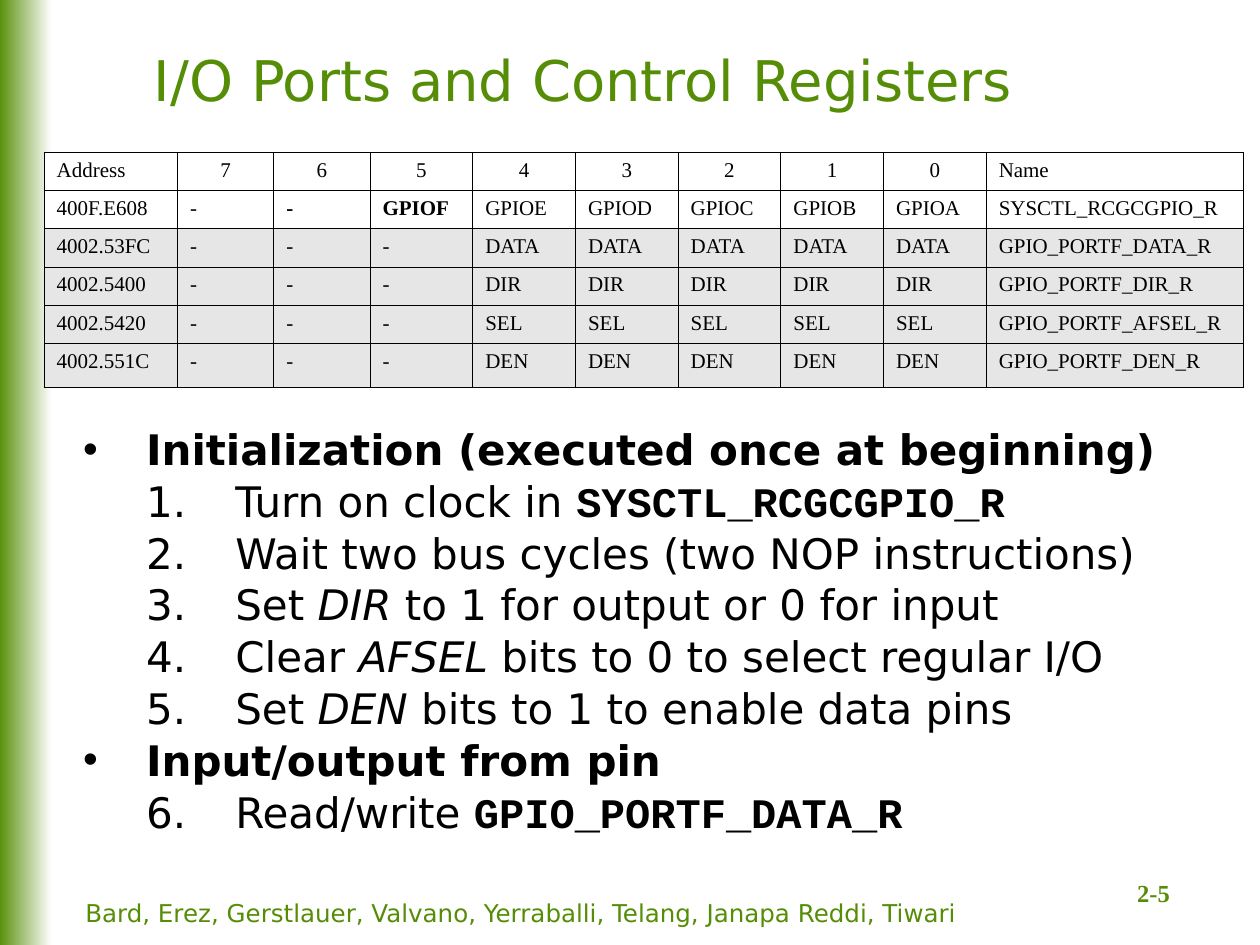
from pptx import Presentation
from pptx.dml.color import RGBColor
from pptx.enum.shapes import MSO_SHAPE
from pptx.enum.text import MSO_ANCHOR, MSO_AUTO_SIZE, PP_ALIGN
from pptx.oxml import parse_xml
from pptx.oxml.ns import nsdecls
from pptx.util import Cm, Pt

GREEN = RGBColor(0x55, 0x8D, 0x06)
BLACK = RGBColor(0x00, 0x00, 0x00)
WHITE = RGBColor(0xFF, 0xFF, 0xFF)
GRAY = RGBColor(0xE6, 0xE6, 0xE6)
SANS, SERIF, MONO = "DejaVu Sans", "Times New Roman", "Courier New"


def style(font, name, size, color, bold=False):
    font.name, font.size, font.bold = name, Pt(size), bold
    font.color.rgb = color


def add_label(text, left, top, width, height):
    frame = slide.shapes.add_textbox(Cm(left), Cm(top), Cm(width), Cm(height)).text_frame
    frame.word_wrap = True
    frame.text = text
    return frame


presentation = Presentation()
presentation.slide_width, presentation.slide_height = Cm(25.4), Cm(19.05)
slide = presentation.slides.add_slide(presentation.slide_layouts[1])

# Gradient band on the left edge
band = slide.shapes.add_shape(MSO_SHAPE.RECTANGLE, Cm(-0.03), Cm(-0.03), Cm(1.07), Cm(19.08))
band.shadow.inherit = False
band.line.fill.background()
band.fill.gradient()
band.fill.gradient_angle = 0
for stop, color in zip(band.fill.gradient_stops, (GREEN, WHITE)):
    stop.color.rgb = color

# Title
title = slide.shapes.title
title.left, title.top, title.width, title.height = Cm(1.07), Cm(0.64), Cm(21.39), Cm(1.9)
title.text_frame.text = "I/O Ports and Control Registers"
title.text_frame.vertical_anchor = MSO_ANCHOR.MIDDLE
title.text_frame.paragraphs[0].alignment = PP_ALIGN.CENTER
style(title.text_frame.paragraphs[0].font, SANS, 32, GREEN)

# Register table: the port F registers repeat one field name in bits 4 to 0
rows = [
    ["Address", *"76543210", "Name"],
    ["400F.E608", "-", "-", *(f"GPIO{port}" for port in "FEDCBA"), "SYSCTL_RCGCGPIO_R"],
]
for address, field, register in [
    ("4002.53FC", "DATA", "DATA"),
    ("4002.5400", "DIR", "DIR"),
    ("4002.5420", "SEL", "AFSEL"),
    ("4002.551C", "DEN", "DEN"),
]:
    rows.append([address, *["-"] * 3, *[field] * 5, f"GPIO_PORTF_{register}_R"])
column_widths = [2.69, 1.94, 1.94, *[2.07] * 6, 5.18]
row_heights = [*[0.77] * 5, 0.89]

table = slide.shapes.add_table(
    len(rows), len(column_widths), Cm(0.89), Cm(3.07),
    Cm(sum(column_widths)), Cm(sum(row_heights))).table
table.first_row = table.horz_banding = False
for column, width in zip(table.columns, column_widths):
    column.width = Cm(width)
for row, height in zip(table.rows, row_heights):
    row.height = Cm(height)

for row_index, texts in enumerate(rows):
    for column_index, text in enumerate(texts):
        cell = table.cell(row_index, column_index)
        cell.text = text
        paragraph = cell.text_frame.paragraphs[0]
        if row_index == 0 and text.isdigit():
            paragraph.alignment = PP_ALIGN.CENTER
        bold = row_index == 1 and column_index in (2, 3)
        style(paragraph.font, SERIF, 12, BLACK, bold)
        properties = cell._tc.get_or_add_tcPr()
        for side in "LRTB":
            properties.append(parse_xml(
                f'<a:ln{side} {nsdecls("a")} w="5715"><a:solidFill>'
                f'<a:srgbClr val="{BLACK}"/></a:solidFill></a:ln{side}>'))
        cell.fill.solid()
        cell.fill.fore_color.rgb = WHITE if row_index < 2 else GRAY

# Steps: level, then runs of text with "b" bold, "i" italic, "m" bold monospace
steps = [
    (0, [("Initialization (executed once at beginning)", "b")]),
    (1, [("Turn on clock in ", ""), ("SYSCTL_RCGCGPIO_R", "m")]),
    (1, [("Wait two bus cycles (two NOP instructions)", "")]),
    (1, [("Set ", ""), ("DIR", "i"), (" to 1 for output or 0 for input", "")]),
    (1, [("Clear ", ""), ("AFSEL", "i"), (" bits to 0 to select regular I/O", "")]),
    (1, [("Set ", ""), ("DEN", "i"), (" bits to 1 to enable data pins", "")]),
    (0, [("Input/output from pin", "b")]),
    (1, [("Read/write ", ""), ("GPIO_PORTF_DATA_R", "m")]),
]
body = slide.placeholders[1]
body.left, body.top, body.width, body.height = Cm(1.42), Cm(8.41), Cm(22.73), Cm(8.38)
frame = body.text_frame
frame.auto_size = MSO_AUTO_SIZE.NONE
for index, (level, runs) in enumerate(steps):
    paragraph = frame.paragraphs[0] if index == 0 else frame.add_paragraph()
    paragraph.level = level
    paragraph.space_before, paragraph.space_after = Pt(0), Pt(0.8)
    properties = paragraph._p.get_or_add_pPr()
    left, hanging = ((1.27, 1.27), (3.07, 1.8))[level]
    properties.set("marL", str(Cm(left)))
    properties.set("indent", str(-Cm(hanging)))
    if level == 0:
        bullet = '<a:buChar {} char="•"/>'
    elif index == len(steps) - 1:
        bullet = '<a:buAutoNum {} type="arabicPeriod" startAt="6"/>'
    else:
        bullet = '<a:buAutoNum {} type="arabicPeriod"/>'
    properties.append(parse_xml(bullet.format(nsdecls("a"))))
    for text, kind in runs:
        run = paragraph.add_run()
        run.text = text
        style(run.font, MONO if kind == "m" else SANS, 24, BLACK, kind in ("b", "m"))
        run.font.italic = kind == "i"

# Slide number and author line
number = add_label("2-5", 21.77, 17.25, 2.97, 1.17)
number.vertical_anchor = MSO_ANCHOR.BOTTOM
number.paragraphs[0].alignment = PP_ALIGN.CENTER
style(number.paragraphs[0].font, SERIF, 14, GREEN, True)
authors = add_label(
    "Bard, Erez, Gerstlauer, Valvano, Yerraballi, Telang, Janapa Reddi, Tiwari",
    1.47, 17.98, 19.89, 1.07)
style(authors.paragraphs[0].font, SANS, 14, GREEN)

presentation.save("out.pptx")
